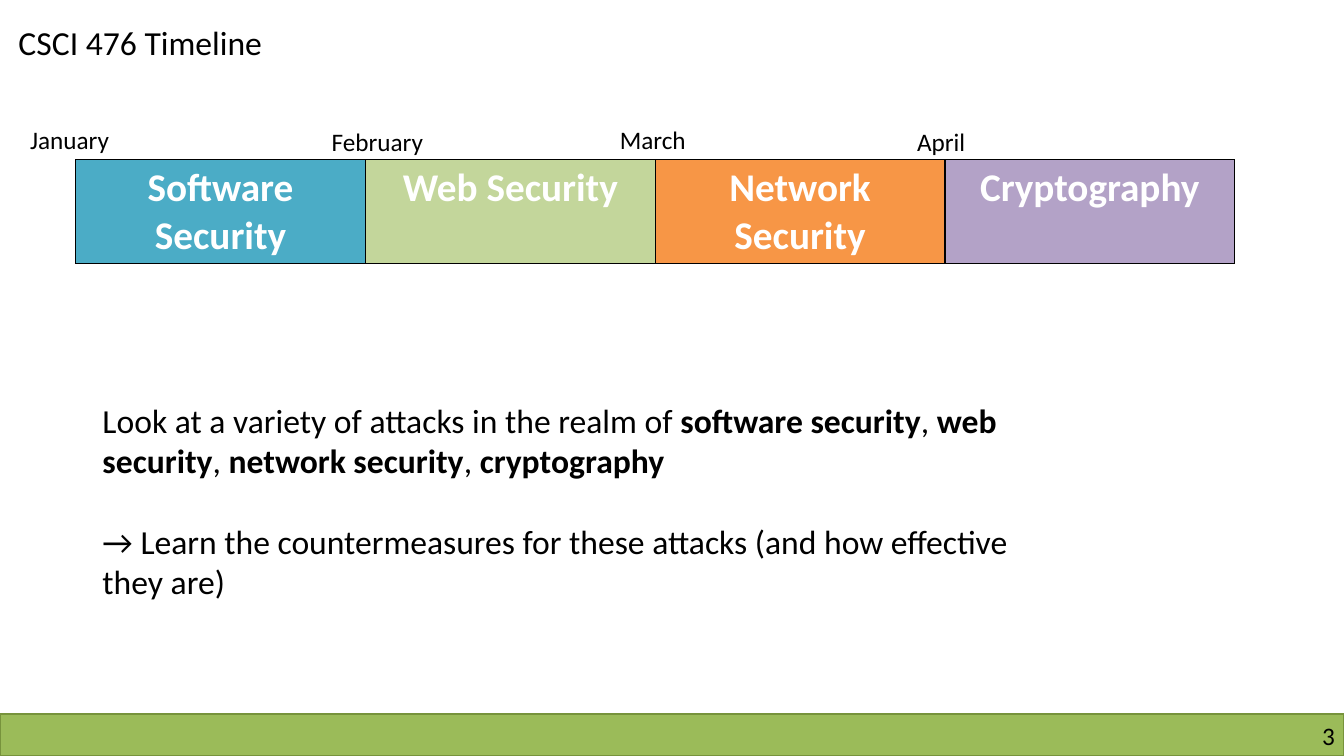
from lxml.etree import SubElement
from pptx import Presentation
from pptx.dml.color import RGBColor
from pptx.enum.shapes import MSO_SHAPE as Shape
from pptx.enum.text import MSO_ANCHOR as Anchor, MSO_AUTO_SIZE as AutoSize, PP_ALIGN as Align
from pptx.oxml.ns import qn
from pptx.util import Inches, Pt

BLACK = RGBColor(0x00, 0x00, 0x00)
WHITE = RGBColor(0xFF, 0xFF, 0xFF)
GREEN = RGBColor(0x9B, 0xBB, 0x59)
DARK_GREEN = RGBColor(0x77, 0x93, 0x3C)
TEAL = RGBColor(0x4B, 0xAC, 0xC6)
LIME = RGBColor(0xC3, 0xD6, 0x9B)
ORANGE = RGBColor(0xF7, 0x96, 0x46)
PURPLE = RGBColor(0xB3, 0xA2, 0xC7)

COLUMNS, ROWS = 160, 90

deck = Presentation()
deck.slide_width, deck.slide_height = Inches(13.33), Inches(7.5)


def grid(left, top, width, height):
    across, down = deck.slide_width / COLUMNS, deck.slide_height / ROWS
    return [round(n) for n in (left * across, top * down, width * across, height * down)]


def write(paragraph, text, size=24, color=BLACK, bold=False, align=Align.LEFT):
    paragraph.alignment = align
    run = paragraph.add_run()
    run.text = text
    run.font.name = "Calibri"
    run.font.size = Pt(size)
    run.font.bold = bold
    run.font.color.rgb = color


slide = deck.slides.add_slide(deck.slide_layouts[1])

footer = slide.shapes.add_shape(Shape.RECTANGLE, *grid(0, 85, COLUMNS, 5))
footer.shadow.inherit = False
footer.fill.solid()
footer.fill.fore_color.rgb = GREEN
footer.line.color.rgb = DARK_GREEN
footer.line.width = Pt(1)

page = slide.shapes.add_textbox(*grid(122, 85.8, 36.9, 3.6)).text_frame
page.margin_left = page.margin_right = page.margin_top = page.margin_bottom = 0
page.word_wrap = True
write(page.paragraphs[0], "3", size=18, align=Align.RIGHT)

title = slide.shapes.title
title.left, title.top, title.width, title.height = grid(1, 2, 36.4, 6)
title.text_frame.vertical_anchor = Anchor.TOP
title.text_frame.word_wrap = False
title.text_frame.auto_size = AutoSize.SHAPE_TO_FIT_TEXT
write(title.text_frame.paragraphs[0], "CSCI 476 Timeline")

topics = [("Software Security", TEAL), ("Web Security", LIME),
          ("Network Security", ORANGE), ("Cryptography", PURPLE)]
timeline = slide.shapes.add_table(1, len(topics), *grid(9, 19, 138, 12.4)).table
timeline.first_row = timeline.horz_banding = False
for cell, (topic, color) in zip(timeline.rows[0].cells, topics):
    write(cell.text_frame.paragraphs[0], topic, size=28, color=WHITE, bold=True, align=Align.CENTER)
    properties = cell._tc.get_or_add_tcPr()
    for side in ("a:lnL", "a:lnR", "a:lnT", "a:lnB"):
        border = SubElement(properties, qn(side), w=str(Pt(1)))
        SubElement(SubElement(border, qn("a:solidFill")), qn("a:srgbClr"), val=str(BLACK))
    cell.fill.solid()
    cell.fill.fore_color.rgb = color

months = [("January", 2.4, 14.2, 13.2), ("February", 38.3, 14.4, 14.5),
          ("March", 72.6, 14.2, 10.8), ("April", 108, 14.4, 8.5)]
for month, left, top, width in months:
    label = slide.shapes.add_textbox(*grid(left, top, width, 4.8)).text_frame
    label.word_wrap = False
    label.auto_size = AutoSize.SHAPE_TO_FIT_TEXT
    write(label.paragraphs[0], month, size=18)

goals = [
    [("Look at a variety of attacks in the realm of ", False), ("software security", True),
     (", ", False), ("web security", True), (", ", False), ("network security", True),
     (", ", False), ("cryptography", True)],
    [("→ Learn the countermeasures for these attacks (and how effective they are)", False)],
]
body = slide.placeholders[1]
body.left, body.top, body.width, body.height = grid(11, 47, 111, 25.4)
body.text_frame.auto_size = AutoSize.NONE
for index, goal in enumerate(goals):
    paragraph = body.text_frame.add_paragraph() if index else body.text_frame.paragraphs[0]
    settings = paragraph._p.get_or_add_pPr()
    settings.set("marL", "0")
    settings.set("indent", "0")
    SubElement(settings, qn("a:buNone"))
    paragraph.space_before = Pt(29 * index)
    for text, bold in goal:
        write(paragraph, text, bold=bold)

deck.save("out.pptx")
